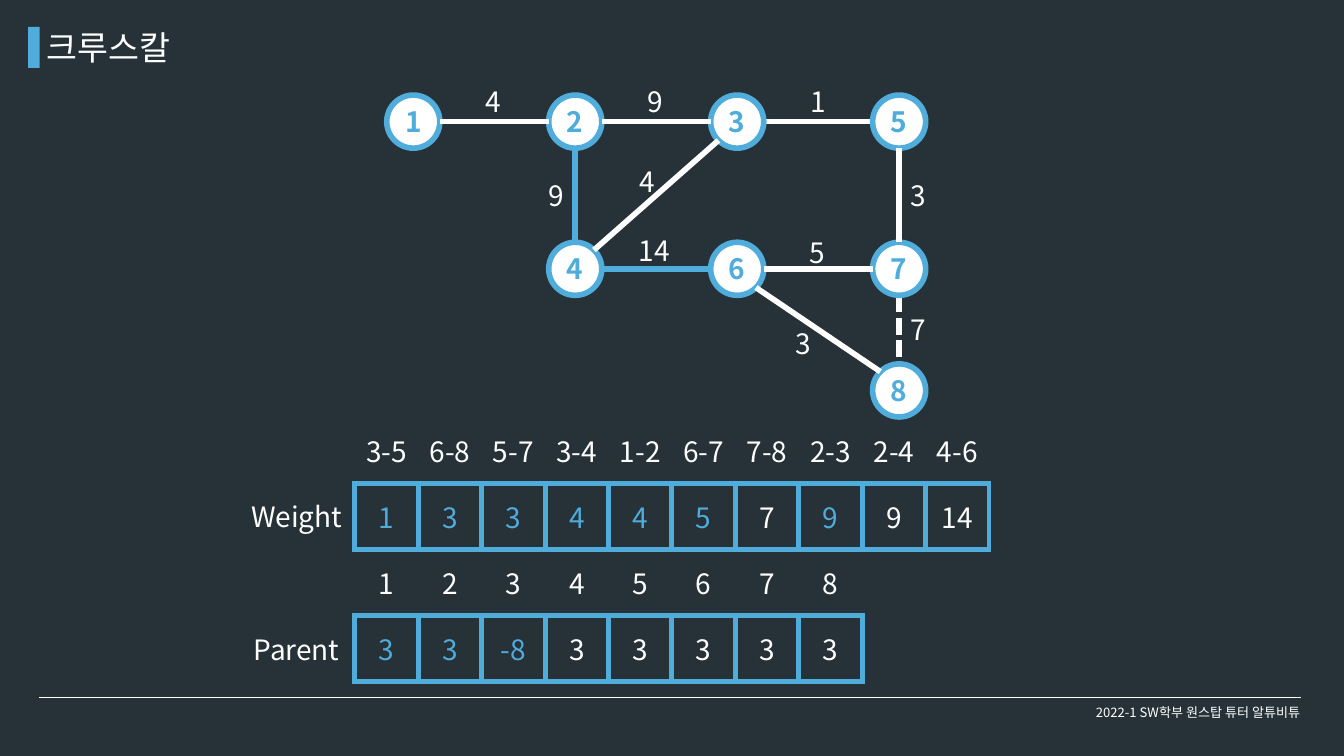
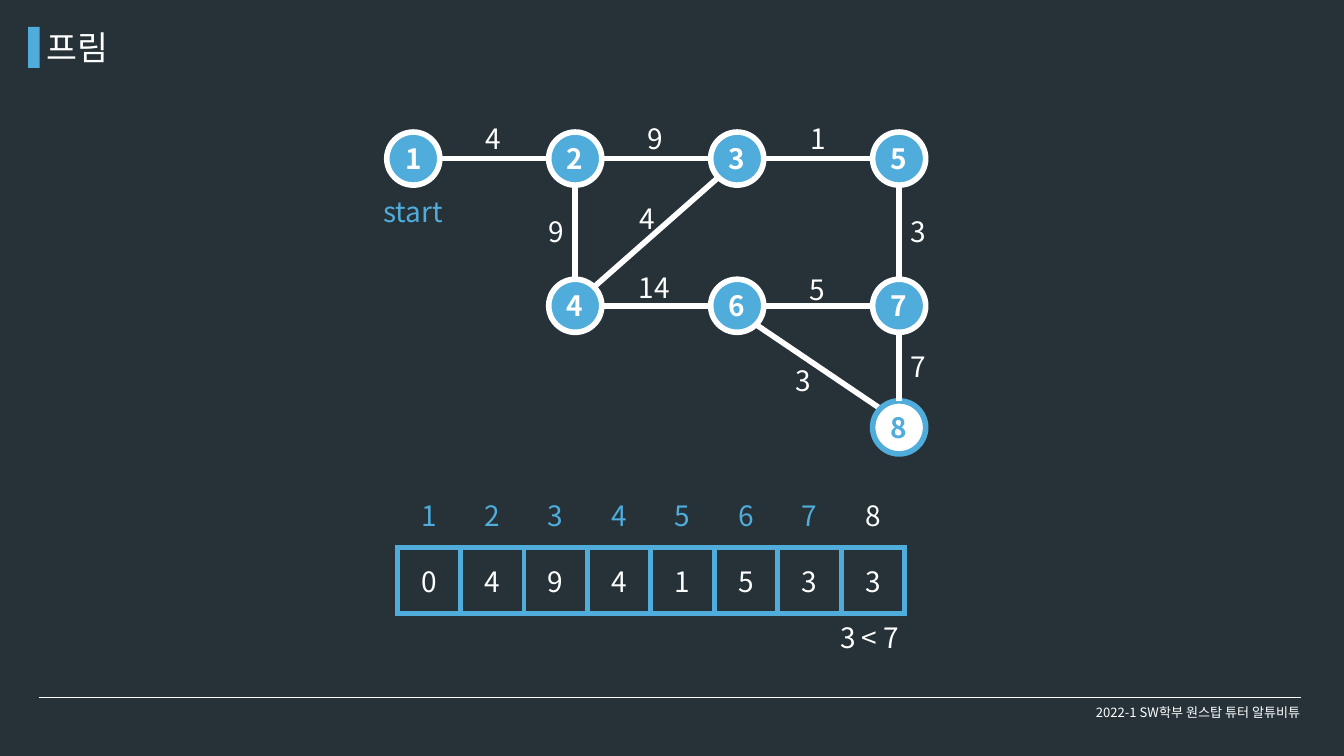
import math

import lxml.etree
import pptx
import pptx.dml.color
import pptx.enum.dml
import pptx.enum.shapes
import pptx.enum.text
import pptx.oxml.ns
import pptx.util

COLS, ROWS = 20, 11.25
COLORS = {"ground": "263238", "accent": "4FACDB", "light": "FFFFFF"}
FONT = "Noto Sans CJK KR"
TITLE_SIZE, BODY_SIZE, FOOTER_SIZE = 36, 30, 14
STROKE = 6
FOOTER = "2022-1 SW학부 원스탑 튜터 알튜비튜"

NODE = 0.79
CELL_W, CELL_H = 9.44 / 10, 0.98
LABEL_H = 0.61
LEFT, STEP = 6.15, 2.41
LEVELS = (0, 2.19, 4)
NODES = {1: (0, 0), 2: (1, 0), 3: (2, 0), 5: (3, 0),
         4: (1, 1), 6: (2, 1), 7: (3, 1), 8: (3, 2)}
EDGES = {
    (1, 2): ("4", 0, -0.3),
    (2, 3): ("9", 0, -0.3),
    (3, 5): ("1", 0.02, -0.3),
    (2, 4): ("9", -0.26, 0),
    (3, 4): ("4", -0.12, -0.2),
    (4, 6): ("14", 0, -0.27),
    (6, 7): ("5", 0, -0.24),
    (5, 7): ("3", 0.3, 0),
    (7, 8): ("7", 0.3, 0),
    (6, 8): ("3", -0.2, 0.21),
}
ALIGN = pptx.enum.text.PP_ALIGN
ANCHOR = pptx.enum.text.MSO_ANCHOR
DASH = pptx.enum.dml.MSO_LINE.SQUARE_DOT


def rgb(name):
    return pptx.dml.color.RGBColor.from_string(COLORS[name])


def sub(parent, tag, **attrs):
    return lxml.etree.SubElement(parent, pptx.oxml.ns.qn(tag), **attrs)


def sign(v):
    return (v > 0) - (v < 0)


class Deck:
    """Holds the presentation, its shared style and the current slide."""

    def __init__(self):
        self.prs = pptx.Presentation()
        self.prs.slide_width = pptx.util.Inches(20)
        self.prs.slide_height = pptx.util.Inches(11.25)
        fill = self.prs.slide_master.background.fill
        fill.solid()
        fill.fore_color.rgb = rgb("ground")
        self.s = None

    def x(self, cols):
        return pptx.util.Emu(round(self.prs.slide_width * cols / COLS))

    def y(self, rows):
        return pptx.util.Emu(round(self.prs.slide_height * rows / ROWS))

    def box(self, left, top, width, height):
        return self.x(left), self.y(top), self.x(width), self.y(height)

    def run(self, tf, text, color="light", size=BODY_SIZE, align=ALIGN.CENTER, bold=False):
        p = tf.paragraphs[0]
        p.alignment = align
        r = p.add_run()
        r.text = text
        r.font.name = FONT
        r.font.size = pptx.util.Pt(size)
        r.font.bold = bold
        r.font.color.rgb = rgb(color)
        sub(r._r.get_or_add_rPr(), "a:ea", typeface=FONT)

    def slide(self, title):
        self.s = self.prs.slides.add_slide(self.prs.slide_layouts[5])
        self.line((0.58, 10.38), (19.36, 10.38), width=0.75)
        self.shape(pptx.enum.shapes.MSO_SHAPE.RECTANGLE, (0.42, 0.4, 0.17, 0.61), "accent")
        sp = self.s.shapes.title
        sp.left, sp.top, sp.width, sp.height = self.box(0.59, 0.35, 9.5, 0.71)
        tf = sp.text_frame
        tf.vertical_anchor = ANCHOR.TOP
        tf.auto_size = pptx.enum.text.MSO_AUTO_SIZE.SHAPE_TO_FIT_TEXT
        self.run(tf, title, size=TITLE_SIZE, align=ALIGN.LEFT)
        self.text(FOOTER, 15.83, 10.31, 4, 0.57, size=FOOTER_SIZE, anchor=ANCHOR.MIDDLE)

    def shape(self, kind, place, fill, line=None):
        sp = self.s.shapes.add_shape(kind, *self.box(*place))
        sp.shadow.inherit = False
        sp.fill.solid()
        sp.fill.fore_color.rgb = rgb(fill)
        if line:
            sp.line.color.rgb = rgb(line)
            sp.line.width = pptx.util.Pt(STROKE)
        else:
            sp.line.fill.background()
        return sp

    def line(self, start, end, color="light", width=STROKE, dash=None):
        sp = self.s.shapes.add_connector(
            pptx.enum.shapes.MSO_CONNECTOR.STRAIGHT,
            self.x(start[0]), self.y(start[1]), self.x(end[0]), self.y(end[1]))
        sp.line.color.rgb = rgb(color)
        sp.line.width = pptx.util.Pt(width)
        if dash:
            sp.line.dash_style = dash
        sub(sp._element.spPr, "a:effectLst")

    def text(self, text, left, top, width, height=LABEL_H, wrap=True, anchor=ANCHOR.TOP, **style):
        tf = self.s.shapes.add_textbox(*self.box(left, top, width, height)).text_frame
        tf.word_wrap = wrap
        tf.vertical_anchor = anchor
        self.run(tf, text, **style)

    def node(self, number, center, fill, ink):
        place = (center[0] - NODE / 2, center[1] - NODE / 2, NODE, NODE)
        sp = self.shape(pptx.enum.shapes.MSO_SHAPE.OVAL, place, fill, ink)
        sp.text_frame.vertical_anchor = ANCHOR.MIDDLE
        self.run(sp.text_frame, str(number), ink, bold=True)

    def edge(self, a, b, **style):
        dx, dy = sign(b[0] - a[0]), sign(b[1] - a[1])
        reach = NODE / 2 / math.hypot(dx, dy)
        self.line((a[0] + dx * reach, a[1] + dy * reach),
                  (b[0] - dx * reach, b[1] - dy * reach), **style)

    def graph(self, top, filled=(), behind=(), styles=None):
        styles = styles or {}
        spots = {n: (LEFT + STEP * c, top + LEVELS[r]) for n, (c, r) in NODES.items()}
        for a, b in behind:
            self.edge(spots[a], spots[b], **styles.get((a, b), {}))
        for n, spot in spots.items():
            fill, ink = ("accent", "light") if n in filled else ("light", "accent")
            self.node(n, spot, fill, ink)
        for (a, b), (weight, dx, dy) in EDGES.items():
            if (a, b) not in behind:
                self.edge(spots[a], spots[b], **styles.get((a, b), {}))
            width = 0.46 if len(weight) == 1 else 0.71
            self.text(weight,
                      (spots[a][0] + spots[b][0] - width) / 2 + dx,
                      (spots[a][1] + spots[b][1] - LABEL_H) / 2 + dy,
                      width, wrap=False, align=ALIGN.LEFT)

    def row(self, values, left, top, accent=(), border=True):
        width = CELL_W * len(values)
        frame = self.s.shapes.add_table(1, len(values), *self.box(left, top, width, CELL_H))
        table = frame.table
        table.first_row = table.horz_banding = False
        for i, value in enumerate(values):
            table.columns[i].width = self.x(CELL_W)
            cell = table.cell(0, i)
            cell.vertical_anchor = ANCHOR.MIDDLE
            self.borders(cell, border)
            cell.fill.background()
            self.run(cell.text_frame, value, "accent" if i in accent else "light")

    def borders(self, cell, visible):
        props = cell._tc.get_or_add_tcPr()
        for side in "LRTB":
            ln = sub(props, f"a:ln{side}", w=str(int(pptx.util.Pt(STROKE))))
            if visible:
                sub(sub(ln, "a:solidFill"), "a:srgbClr", val=COLORS["accent"])
            else:
                sub(ln, "a:noFill")

    def array(self, heads, values, left, top, accent=(), head_accent=()):
        self.row(values, left, top, accent)
        self.row(heads, left, top - CELL_H, head_accent, border=False)


def kruskal(deck):
    deck.slide("크루스칼")
    deck.graph(1.81, behind=[(7, 8), (3, 5)],
               styles={(2, 4): {"color": "accent"}, (4, 6): {"color": "accent"},
                       (7, 8): {"dash": DASH}})
    edges = "3-5 6-8 5-7 3-4 1-2 6-7 7-8 2-3 2-4 4-6".split()
    deck.array(edges, "1 3 3 4 4 5 7 9 9 14".split(), 5.28, 7.19, accent=(0, 1, 2, 3, 4, 5, 7))
    deck.array("12345678", "3 3 -8 3 3 3 3 3".split(), 5.28, 9.16, accent=range(3))
    for name, top in (("Weight", 7.39), ("Parent", 9.36)):
        deck.text(name, 3.55, top, 1.73)


def prim(deck):
    deck.slide("프림")
    deck.graph(2.36, filled=range(1, 8), behind=[(6, 8)])
    deck.array("12345678", "04941533", 5.91, 8.15, head_accent=range(7))
    deck.text("start", 5.2, 2.84, 1.89, color="accent")
    deck.text("3 < 7", 12.13, 9.19, 1.62)


def main():
    deck = Deck()
    kruskal(deck)
    prim(deck)
    deck.prs.save("out.pptx")


if __name__ == "__main__":
    main()
